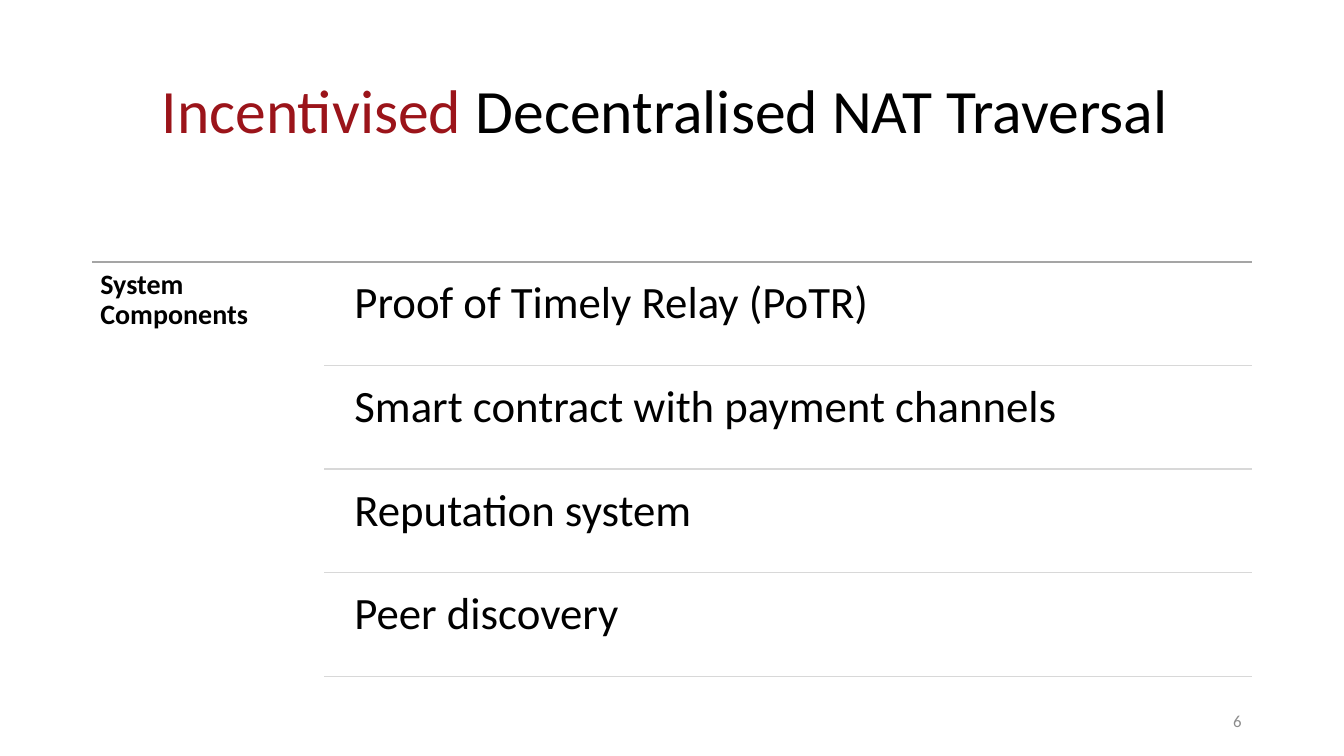
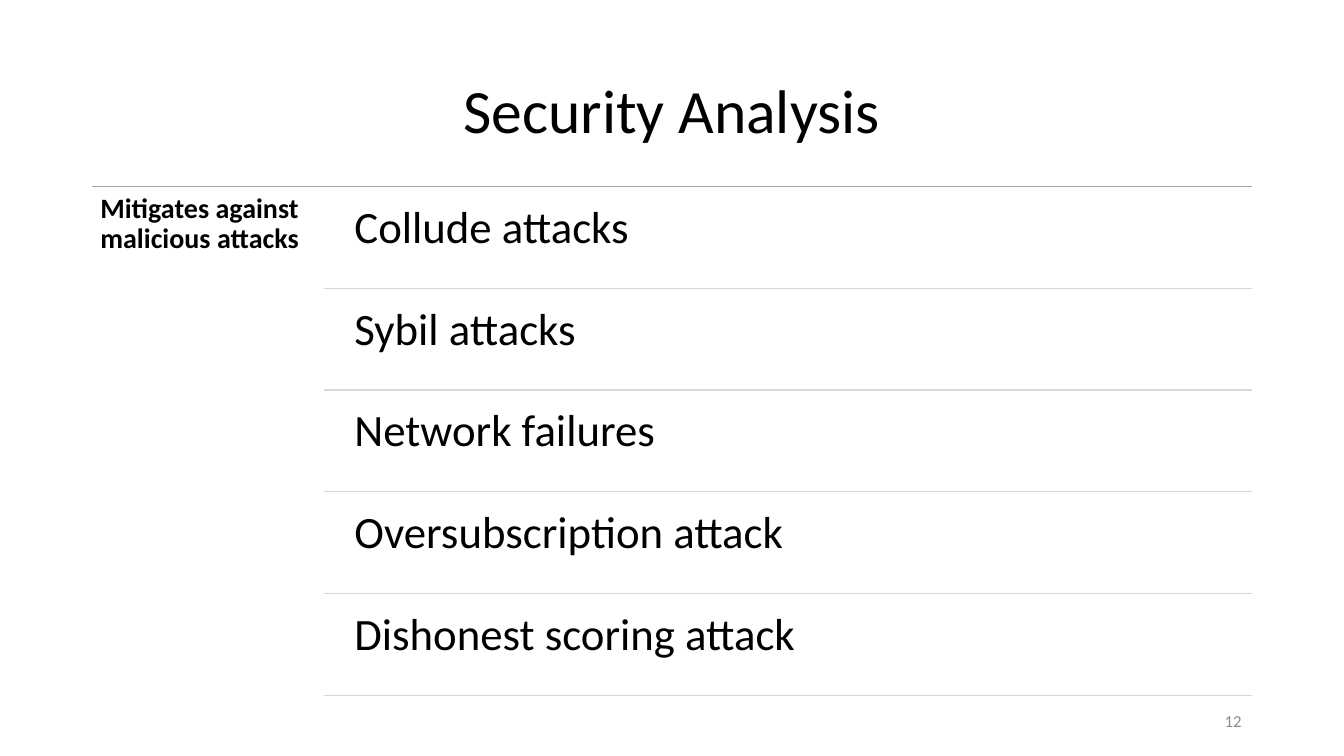
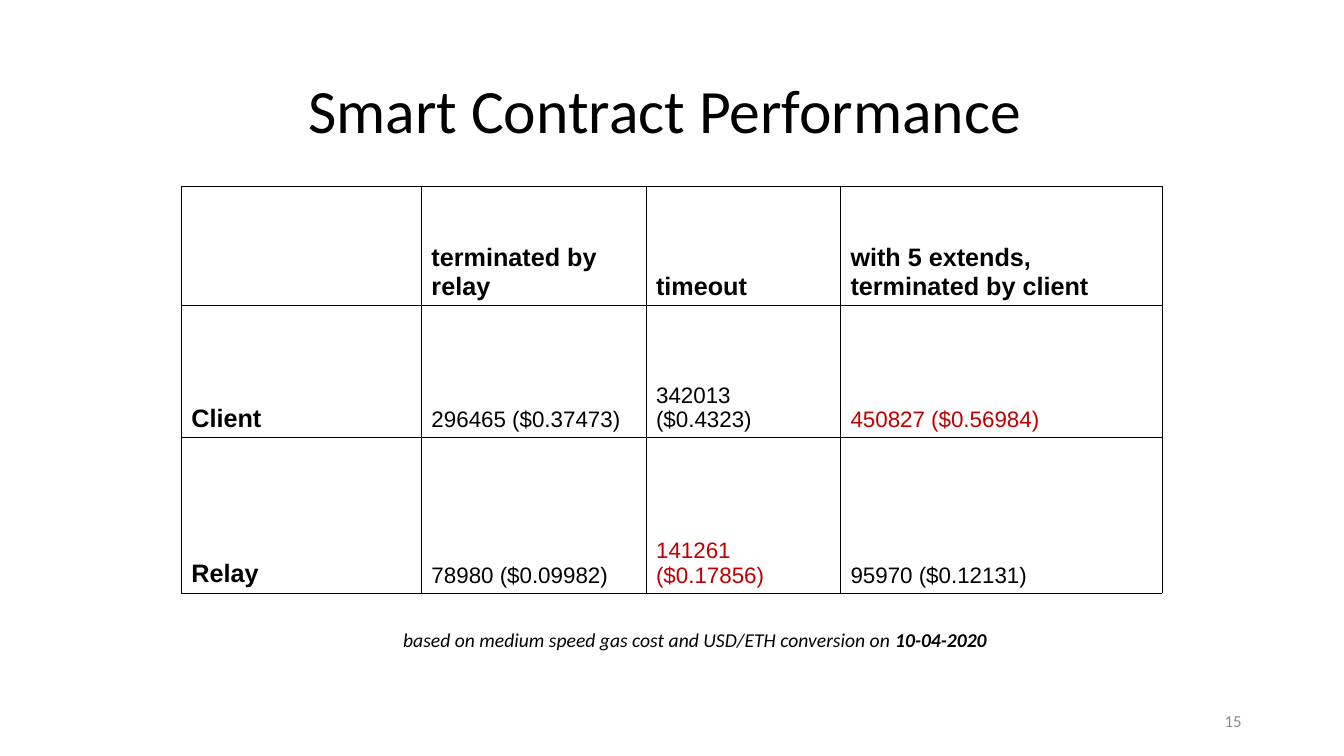
from collections import namedtuple

from lxml.etree import SubElement
from pptx import Presentation
from pptx.dml.color import RGBColor
from pptx.enum.shapes import MSO_CONNECTOR
from pptx.enum.text import MSO_ANCHOR, MSO_AUTO_SIZE, PP_ALIGN
from pptx.oxml.ns import qn
from pptx.util import Cm, Pt

COLORS = {
    "text": "000000",
    "accent": "9B141A",
    "highlight": "C00000",
    "number": "8C8C8C",
    "top_rule": "A5A5A5",
    "row_rule": "D8D8D8",
}
BODY_FONT = "Calibri"
TABLE_FONT = "Arial"
Box = namedtuple("Box", "left top width height")

TITLE_BOX = Box(2.33, 1.01, 29.21, 3.68)
NUMBER_BOX = Box(23.92, 17.66, 7.62, 1.01)
COMPONENTS_BOX = Box(2.33, 6.6, 29.21, 10.57)
ATTACKS_BOX = Box(2.33, 4.7, 29.21, 12.95)
TABLE_BOX = Box(4.57, 4.7, 24.72, 10.24)
NOTE_BOX = Box(9.91, 15.69, 15.34, 0.87)


def style_font(font, size, color="text", name=BODY_FONT, bold=False, italic=False):
    """Set every property of a font."""
    font.name = name
    font.size = Pt(size)
    font.bold = bold
    font.italic = italic
    font.color.rgb = RGBColor.from_string(COLORS[color])


def add_text(slide, box, text, size, color="text", bold=False, inset=None, spacing=None):
    """Add a wrapping text box with one paragraph and return its frame."""
    frame = slide.shapes.add_textbox(*map(Cm, box)).text_frame
    frame.word_wrap = True
    if inset is not None:
        frame.margin_left = frame.margin_right = Cm(inset)
        frame.margin_top = frame.margin_bottom = Cm(inset)
    paragraph = frame.paragraphs[0]
    paragraph.text = text
    paragraph.line_spacing = spacing
    style_font(paragraph.font, size, color, bold=bold)
    return frame


def add_rule(slide, left, right, top, color):
    """Draw a thin horizontal rule."""
    rule = slide.shapes.add_connector(
        MSO_CONNECTOR.STRAIGHT, Cm(left), Cm(top), Cm(right), Cm(top)
    )
    rule.line.width = Pt(1)
    rule.line.color.rgb = RGBColor.from_string(COLORS[color])
    SubElement(rule._element.spPr, qn("a:effectLst"))


def add_title(slide, box, title, accent=""):
    """Place the title, with an optional accented opening."""
    placeholder = slide.shapes.title
    placeholder.left, placeholder.top, placeholder.width, placeholder.height = map(Cm, box)
    frame = placeholder.text_frame
    frame.auto_size = MSO_AUTO_SIZE.NONE
    frame.vertical_anchor = MSO_ANCHOR.MIDDLE
    paragraph = frame.paragraphs[0]
    paragraph.alignment = PP_ALIGN.CENTER
    paragraph.line_spacing = 0.9
    style_font(paragraph.font, 44)
    if accent:
        run = paragraph.add_run()
        run.text = accent
        run.font.color.rgb = RGBColor.from_string(COLORS["accent"])
    paragraph.add_run().text = title


def add_slide_number(slide, box, number):
    """Place the slide number at the right of its box."""
    frame = add_text(slide, box, str(number), 12, "number")
    frame.vertical_anchor = MSO_ANCHOR.MIDDLE
    frame.paragraphs[0].alignment = PP_ALIGN.RIGHT


def add_ruled_list(slide, box, label, items):
    """Place a bold label beside equal rows closed by rules."""
    gap = 0.13
    label_width = box.width * 0.2
    text_left = box.left + label_width + 0.43
    right = box.left + box.width
    pitch = (box.height - gap) / len(items)
    add_rule(slide, box.left, right, box.top, "top_rule")
    label_box = box._replace(width=label_width)
    add_text(slide, label_box, label, 20, bold=True, inset=0.2, spacing=0.9)
    for index, item in enumerate(items):
        row_top = box.top + index * pitch
        row_box = Box(text_left, row_top + gap, right - text_left, pitch - gap)
        add_text(slide, row_box, item, 32, inset=0.33, spacing=0.9)
        add_rule(slide, box.left + label_width, right, row_top + pitch, "row_rule")


def add_cell_borders(cell):
    """Give a cell a thin border on all sides."""
    properties = cell._tc.get_or_add_tcPr()
    for side in ("a:lnL", "a:lnR", "a:lnT", "a:lnB"):
        line = SubElement(properties, qn(side), w=str(Pt(0.5)))
        fill = SubElement(line, qn("a:solidFill"))
        SubElement(fill, qn("a:srgbClr"), val=COLORS["text"])


def add_cost_table(slide, box, rows, column_widths, row_heights, highlights):
    """Build the table with bold headings and highlighted values."""
    table = slide.shapes.add_table(len(rows), len(rows[0]), *map(Cm, box)).table
    table.first_row = table.horz_banding = False
    for column, width in zip(table.columns, column_widths):
        column.width = Cm(width)
    for row, height in zip(table.rows, row_heights):
        row.height = Cm(height)
    for row_index, values in enumerate(rows):
        for column_index, value in enumerate(values):
            cell = table.cell(row_index, column_index)
            heading = row_index == 0 or column_index == 0
            color = "highlight" if (row_index, column_index) in highlights else "text"
            add_cell_borders(cell)
            cell.fill.background()
            cell.vertical_anchor = MSO_ANCHOR.BOTTOM
            paragraph = cell.text_frame.paragraphs[0]
            paragraph.text = value
            style_font(paragraph.font, 18 if heading else 16, color, TABLE_FONT, heading)


def add_note(slide, box, text, date):
    """Place the italic note that ends with a bold date."""
    frame = add_text(slide, box, text, 14)
    frame.word_wrap = False
    frame.auto_size = MSO_AUTO_SIZE.SHAPE_TO_FIT_TEXT
    paragraph = frame.paragraphs[0]
    paragraph.font.italic = True
    run = paragraph.add_run()
    run.text = date
    run.font.bold = True


def add_titled_slide(presentation, number, title, accent=""):
    """Add a slide with the shared title and number."""
    slide = presentation.slides.add_slide(presentation.slide_layouts[5])
    add_title(slide, TITLE_BOX, title, accent)
    add_slide_number(slide, NUMBER_BOX, number)
    return slide


def build_presentation():
    """Build and save the three slides."""
    presentation = Presentation()
    presentation.slide_width, presentation.slide_height = Cm(33.87), Cm(19.05)

    slide = add_titled_slide(
        presentation, 6, " Decentralised NAT Traversal ", accent="Incentivised"
    )
    add_ruled_list(slide, COMPONENTS_BOX, "System Components", [
        "Proof of Timely Relay (PoTR)",
        "Smart contract with payment channels",
        "Reputation system",
        "Peer discovery",
    ])

    slide = add_titled_slide(presentation, 12, "Security Analysis")
    add_ruled_list(slide, ATTACKS_BOX, "Mitigates against malicious attacks", [
        "Collude attacks",
        "Sybil attacks",
        "Network failures",
        "Oversubscription attack",
        "Dishonest scoring attack",
    ])

    slide = add_titled_slide(presentation, 15, "Smart Contract Performance ")
    add_cost_table(
        slide,
        TABLE_BOX,
        rows=[
            ["", "terminated by relay", "timeout", "with 5 extends, terminated by client"],
            ["Client", "296465 ($0.37473)", "342013 ($0.4323)", "450827 ($0.56984)"],
            ["Relay", "78980 ($0.09982)", "141261 ($0.17856)", "95970 ($0.12131)"],
        ],
        column_widths=[6.05, 5.66, 4.9, 8.1],
        row_heights=[3, 3.33, 3.91],
        highlights={(1, 3), (2, 2)},
    )
    add_note(
        slide,
        NOTE_BOX,
        "based on medium speed gas cost and USD/ETH conversion on ",
        "10-04-2020",
    )
    presentation.save("out.pptx")


build_presentation()
